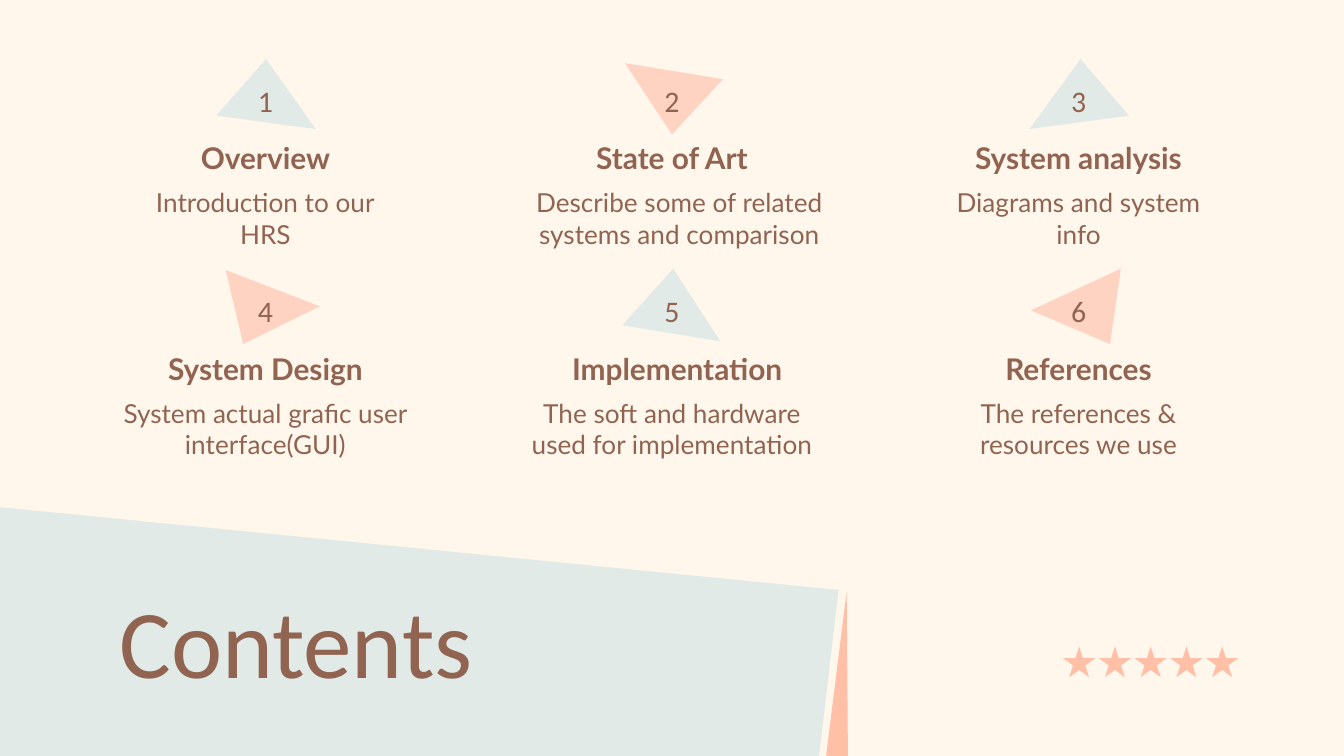
"""Build a contents slide on a grid of 100 columns, each 0.1 inch square."""
from dataclasses import dataclass

from pptx import Presentation
from pptx.dml.color import RGBColor
from pptx.enum.shapes import MSO_SHAPE
from pptx.enum.text import MSO_ANCHOR, PP_ALIGN
from pptx.shapes.autoshape import Shape
from pptx.slide import Slide
from pptx.util import Inches, Pt

STAR = MSO_SHAPE.STAR_5_POINT
TOP, MIDDLE = MSO_ANCHOR.TOP, MSO_ANCHOR.MIDDLE
LEFT, CENTER = PP_ALIGN.LEFT, PP_ALIGN.CENTER

COLORS = {
    "cream": "FFF6EC",
    "mist": "E1EAE7",
    "peach": "FED3C2",
    "coral": "FFC0A7",
    "brown": "916452",
}
COLS, ROWS = 100, 56.25
CELL_LEFT, CELL_TOP = 7.8, 5.9
COL_PITCH, ROW_PITCH = 30.25, 15.65
CELL_W = 23.9
STAR_LEFT, STAR_PITCH, STAR_COUNT = 79.1, 2.66, 5

Points = tuple[tuple[float, float], ...]


@dataclass(frozen=True)
class Box:
    col: float
    row: float
    cols: float
    rows: float


@dataclass(frozen=True)
class Style:
    size: float
    font: str
    bold: bool = False
    align: PP_ALIGN = CENTER
    anchor: MSO_ANCHOR = MIDDLE


@dataclass(frozen=True)
class Topic:
    heading: str
    body: str
    color: str
    triangle: Points
    body_cols: float = CELL_W
    right_inset: float = 1


TITLE = Style(52, "Calibri", align=LEFT, anchor=TOP)
NUMBER = Style(16, "Calibri")
HEADING = Style(16, "Lato", bold=True)
BODY = Style(14, "Lato", anchor=TOP)

TOPICS = (
    Topic("Overview", "Introduction to our\nHRS", "mist",
          ((8.3, 2.7), (12, -1.5), (15.7, 3.7))),
    Topic("State of Art", "Describe some of related systems and comparison", "peach",
          ((15.75, 0), (11.95, 4.1), (8.45, -1.2)), body_cols=25),
    Topic("System analysis", "Diagrams and system info", "mist",
          ((15.7, 2.7), (12.1, -1.5), (8.3, 3.7))),
    Topic("System Design", "System actual grafic user interface(GUI)", "peach",
          ((9, -1.45), (10.3, 4.05), (16, 1.25))),
    Topic("Implementation", "The soft and hardware used for implementation", "mist",
          ((8.25, 2.65), (12.05, -1.55), (15.55, 3.85)), right_inset=0.2),
    Topic("References", "The references & resources we use", "peach",
          ((15.1, -1.55), (14.3, 4.05), (8.4, 1.55))),
)
BAND: Points = ((60.8, 57.5), (-3, 57.3), (-3.4, 37.4), (62.4, 43.9))
SLIVER: Points = ((63, 44), (63.1, 57.4), (61.3, 57.6))


def grid(units: float) -> int:
    return Inches(units / 10)


def rgb(name: str) -> RGBColor:
    return RGBColor.from_string(COLORS[name])


def paint(sp: Shape, color: str) -> None:
    sp.shadow.inherit = False
    sp.fill.solid()
    sp.fill.fore_color.rgb = rgb(color)
    sp.line.fill.background()


def add_polygon(s: Slide, points: Points, color: str, col: float = 0, row: float = 0) -> None:
    start, *rest = [(grid(col + x), grid(row + y)) for x, y in points]
    builder = s.shapes.build_freeform(*start)
    builder.add_line_segments(rest, close=True)
    paint(builder.convert_to_shape(), color)


def add_star(s: Slide, box: Box) -> None:
    sp = s.shapes.add_shape(STAR, grid(box.col), grid(box.row), grid(box.cols), grid(box.rows))
    paint(sp, "coral")


def add_text(s: Slide, text: str, box: Box, style: Style, right_inset: float = 1) -> None:
    sp = s.shapes.add_textbox(grid(box.col), grid(box.row), grid(box.cols), grid(box.rows))
    tf = sp.text_frame
    tf.word_wrap = True
    tf.vertical_anchor = style.anchor
    tf.margin_left = tf.margin_top = tf.margin_bottom = grid(1)
    tf.margin_right = grid(right_inset)
    tf.text = text
    for p in tf.paragraphs:
        p.alignment = style.align
        p.font.size = Pt(style.size)
        p.font.name = style.font
        p.font.bold = style.bold
        p.font.color.rgb = rgb("brown")


def add_topic(s: Slide, index: int, topic: Topic) -> None:
    row_index, col_index = divmod(index, 3)
    col = CELL_LEFT + COL_PITCH * col_index
    row = CELL_TOP + ROW_PITCH * row_index
    add_polygon(s, topic.triangle, topic.color, col, row)
    add_text(s, str(index + 1), Box(col + 7.6, row, 8.7, 3.1), NUMBER)
    add_text(s, topic.heading, Box(col, row + 4.3, CELL_W, 3.1), HEADING, topic.right_inset)
    add_text(s, topic.body, Box(col, row + 7, topic.body_cols, 6.9), BODY)


def main() -> None:
    prs = Presentation()
    prs.slide_width, prs.slide_height = grid(COLS), grid(ROWS)
    s = prs.slides.add_slide(prs.slide_layouts[6])
    s.background.fill.solid()
    s.background.fill.fore_color.rgb = rgb("cream")
    add_polygon(s, BAND, "mist")
    add_polygon(s, SLIVER, "coral")
    for i in range(STAR_COUNT):
        add_star(s, Box(STAR_LEFT + STAR_PITCH * i, 48.1, 2.4, 2.3))
    add_text(s, "Contents", Box(7.9, 42.3, 76.7, 11.2), TITLE)
    for i, topic in enumerate(TOPICS):
        add_topic(s, i, topic)
    prs.save("out.pptx")


if __name__ == "__main__":
    main()
